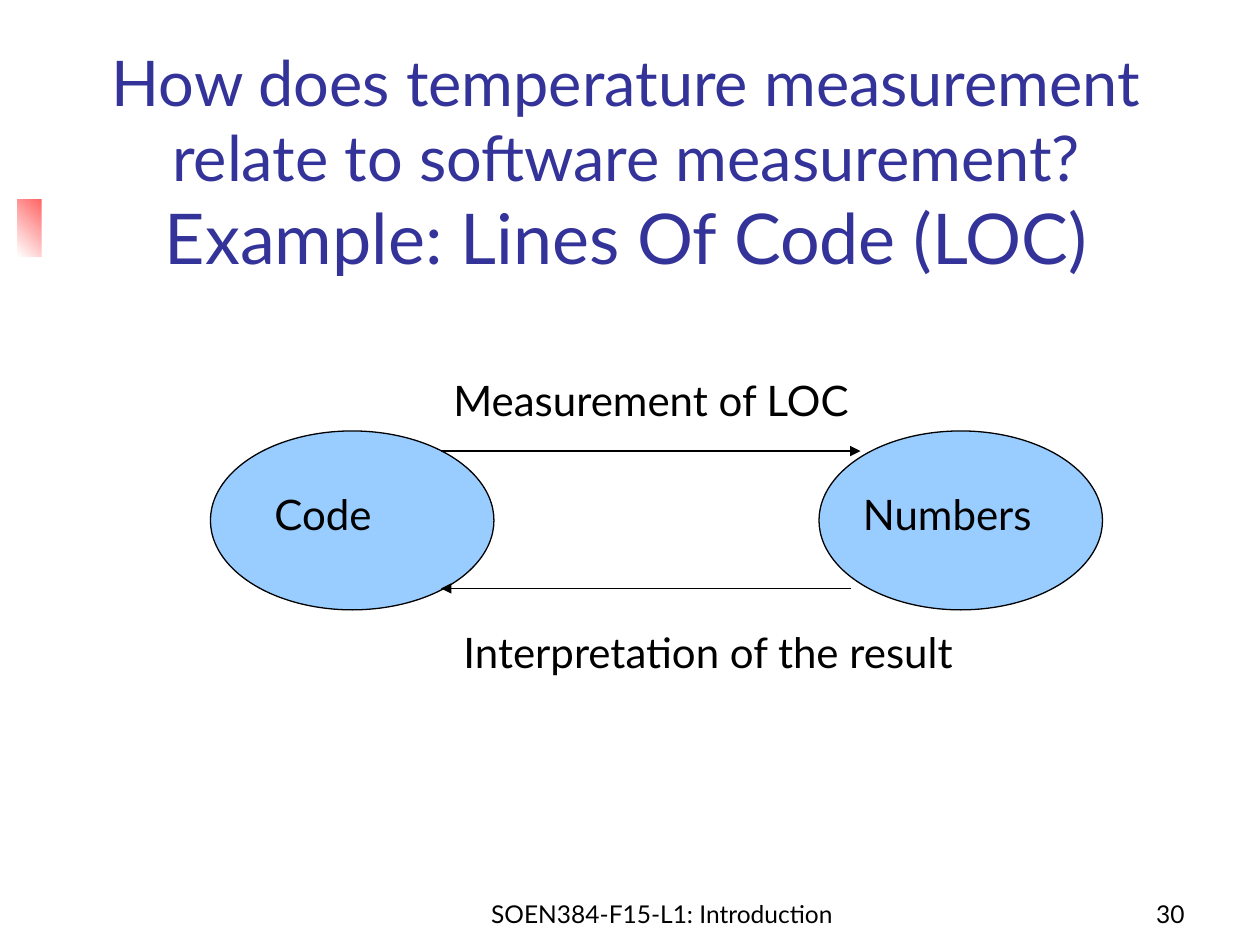
from lxml import etree
from pptx import Presentation
from pptx.dml.color import RGBColor
from pptx.enum.shapes import MSO_CONNECTOR, MSO_SHAPE
from pptx.enum.text import MSO_ANCHOR, MSO_AUTO_SIZE, PP_ALIGN
from pptx.oxml.ns import qn
from pptx.util import Inches, Pt

FONT = "Lato"
WHITE = RGBColor(0xFF, 0xFF, 0xFF)
RED = RGBColor(0xFF, 0x00, 0x00)
BLACK = RGBColor(0x00, 0x00, 0x00)
INDIGO = RGBColor(0x33, 0x33, 0x99)
SKY_BLUE = RGBColor(0x99, 0xCC, 0xFF)

LEFT, CENTER, RIGHT = PP_ALIGN.LEFT, PP_ALIGN.CENTER, PP_ALIGN.RIGHT
TOP, BOTTOM = MSO_ANCHOR.TOP, MSO_ANCHOR.BOTTOM
RECTANGLE, OVAL = MSO_SHAPE.RECTANGLE, MSO_SHAPE.OVAL
STRAIGHT = MSO_CONNECTOR.STRAIGHT
NO_AUTOFIT, GROW = MSO_AUTO_SIZE.NONE, MSO_AUTO_SIZE.SHAPE_TO_FIT_TEXT


def box(left, top, width, height):
    return [Inches(value) for value in (left, top, width, height)]


def style_run(run, size, color):
    run.font.name = FONT
    run.font.size = Pt(size)
    run.font.color.rgb = color


def add_accent_bar(slide):
    bar = slide.shapes.add_shape(RECTANGLE, *box(0.14, 1.58, 0.61, 0.46))
    bar.shadow.inherit = False
    bar.line.fill.background()
    bar.fill.gradient()
    bar.fill.gradient_angle = 45
    for stop, color, position in zip(bar.fill.gradient_stops, (WHITE, RED), (0, 1)):
        stop.color.rgb = color
        stop.position = position
    # Send the bar behind the title, which covers its right part
    slide.shapes.title._element.addprevious(bar._element)


def fill_title(slide, lines, sizes):
    title = slide.shapes.title
    title.left, title.top, title.width, title.height = box(0.33, 0.33, 9.28, 1.93)
    title.fill.solid()
    title.fill.fore_color.rgb = WHITE
    frame = title.text_frame
    frame.text = "\v".join(lines)
    frame.word_wrap = True
    frame.auto_size = NO_AUTOFIT
    frame.vertical_anchor = BOTTOM
    paragraph = frame.paragraphs[0]
    paragraph.alignment = CENTER
    for run, size in zip(paragraph.runs, sizes):
        style_run(run, size, INDIGO)


def add_text(slide, text, bounds, size, align=LEFT, anchor=TOP, fit=GROW):
    frame = slide.shapes.add_textbox(*box(*bounds)).text_frame
    frame.text = text
    frame.word_wrap = True
    frame.auto_size = fit
    frame.vertical_anchor = anchor
    paragraph = frame.paragraphs[0]
    paragraph.alignment = align
    style_run(paragraph.runs[0], size, BLACK)


def add_ellipse(slide, left):
    ellipse = slide.shapes.add_shape(OVAL, *box(left, 3.42, 2.25, 1.42))
    ellipse.shadow.inherit = False
    ellipse.fill.solid()
    ellipse.fill.fore_color.rgb = SKY_BLUE
    ellipse.line.color.rgb = BLACK
    ellipse.line.width = Pt(0.75)


def add_arrow(slide, start_x, end_x, y):
    arrow = slide.shapes.add_connector(STRAIGHT, *box(start_x, y, end_x, y))
    arrow.line.color.rgb = BLACK
    arrow.line.width = Pt(0.75)
    etree.SubElement(arrow.line._get_or_add_ln(), qn("a:tailEnd"), type="triangle")
    etree.SubElement(arrow._element.spPr, qn("a:effectLst"))


def main():
    prs = Presentation()
    prs.slide_width, prs.slide_height = Inches(10), Inches(7.5)
    slide = prs.slides.add_slide(prs.slide_layouts[5])

    # Title with accent bar
    fill_title(
        slide,
        ("How does temperature measurement relate to software measurement?",
         "Example: Lines Of Code (LOC)"),
        (36, 40),
    )
    add_accent_bar(slide)

    # Footer and slide number
    add_text(slide, "SOEN384-F15-L1: Introduction", (3.67, 6.92, 3.17, 0.5),
             14, CENTER, BOTTOM, NO_AUTOFIT)
    add_text(slide, "30", (7.42, 6.92, 2.08, 0.5), 14, RIGHT, BOTTOM, NO_AUTOFIT)

    # Code, with arrows to and from the numbers
    add_ellipse(slide, 1.67)
    add_arrow(slide, 3.5, 6.83, 3.58)
    add_arrow(slide, 6.75, 3.5, 4.67)
    add_text(slide, "Code", (2.08, 3.83, 1.25, 0.5), 24)
    add_text(slide, "Measurement of LOC", (3.5, 2.92, 3.67, 0.5), 24)
    add_text(slide, "Interpretation of the result", (3.58, 4.92, 4.33, 0.5), 24)

    # Numbers, drawn over the arrow ends
    add_ellipse(slide, 6.5)
    add_text(slide, "Numbers", (6.75, 3.83, 1.58, 0.5), 24)

    prs.save("out.pptx")


if __name__ == "__main__":
    main()
